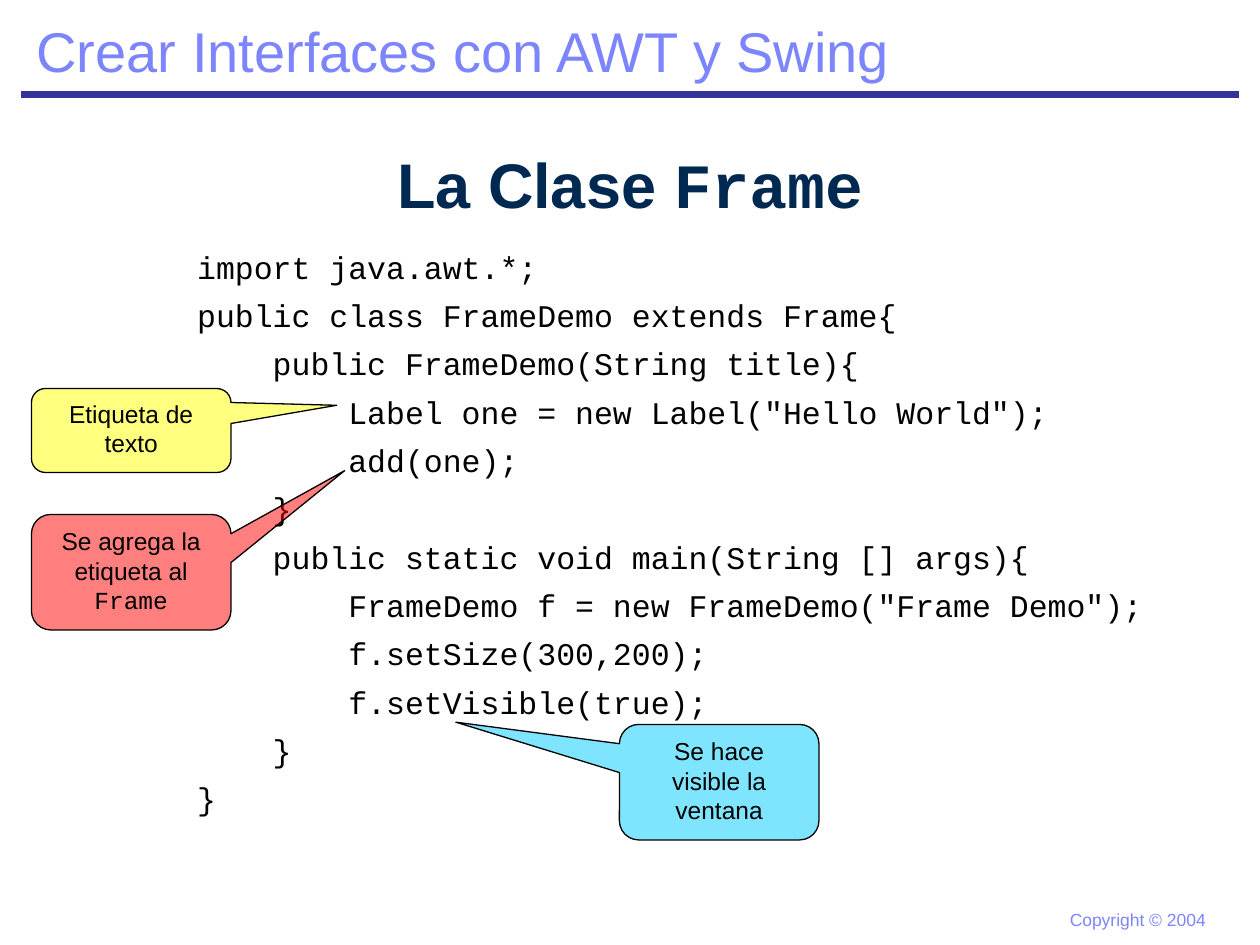
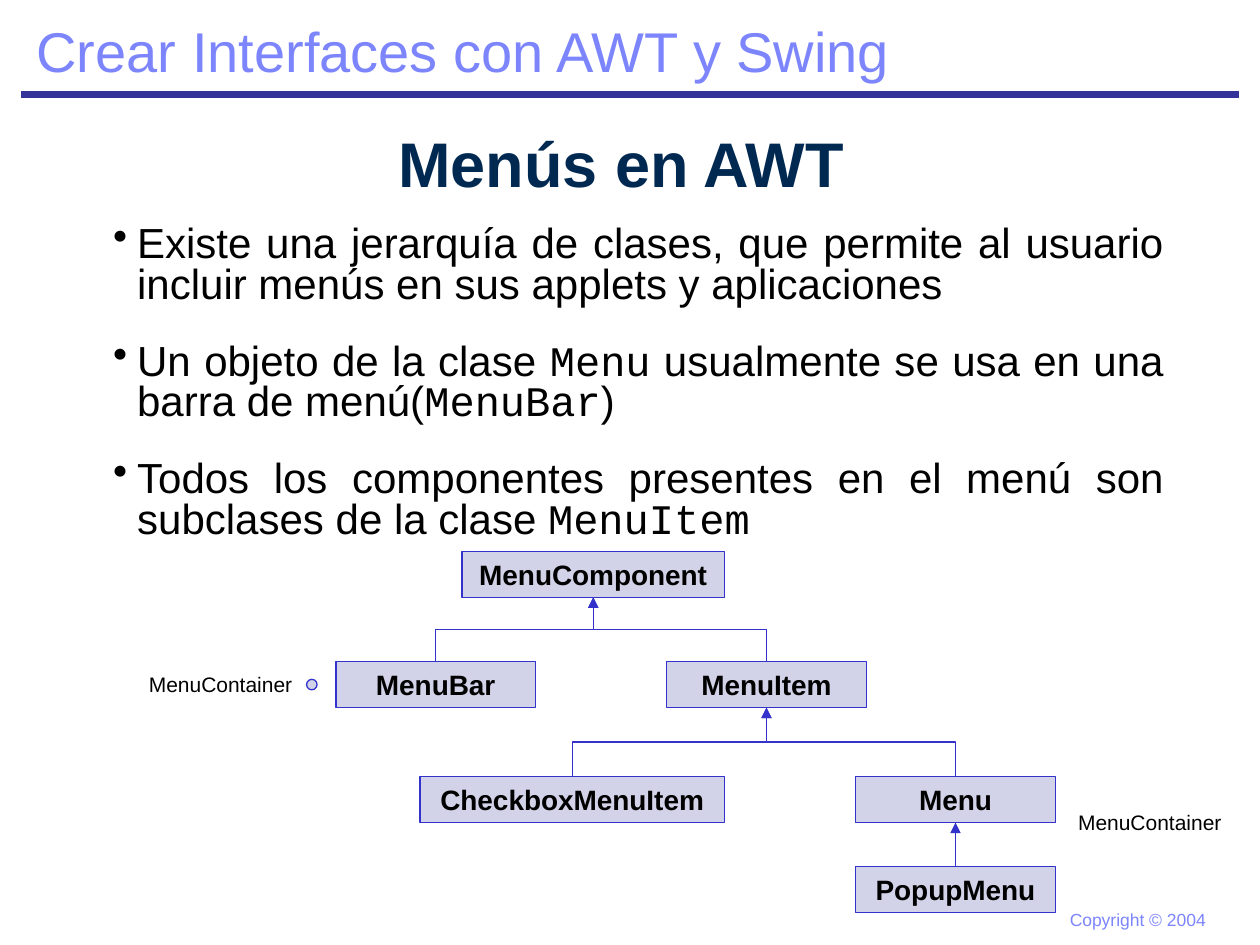
import pptx
import pptx.util
import pptx.dml.color
import pptx.enum.dml
import pptx.enum.shapes
import pptx.enum.text
import pptx.oxml
import pptx.oxml.ns
import lxml.etree as etree

RGBColor = pptx.dml.color.RGBColor
MSO_SHAPE = pptx.enum.shapes.MSO_SHAPE
MSO_CONNECTOR = pptx.enum.shapes.MSO_CONNECTOR
PP_ALIGN = pptx.enum.text.PP_ALIGN
MSO_ANCHOR = pptx.enum.text.MSO_ANCHOR
Pt = pptx.util.Pt
qn = pptx.oxml.ns.qn

BLACK = RGBColor(0, 0, 0)
NAVY = RGBColor(0x00, 0x29, 0x52)
LILAC = RGBColor(0x7C, 0x85, 0xFC)
INDIGO = RGBColor(0x33, 0x33, 0x99)
BLUE = RGBColor(0x33, 0x33, 0xCC)
YELLOW = RGBColor(0xFF, 0xFF, 0x00)
RED = RGBColor(0xFF, 0x00, 0x00)
CYAN = RGBColor(0x00, 0xCC, 0xFF)

BODY_FONT = "Arial"
CODE_FONT = "Courier New"
COLUMNS, ROWS = 120, 90
CELL = pptx.util.Inches(10) // COLUMNS

CODE = """import java.awt.*;
public class FrameDemo extends Frame{
    public FrameDemo(String title){
        Label one = new Label("Hello World");
        add(one);
    }
    public static void main(String [] args){
        FrameDemo f = new FrameDemo("Frame Demo");
        f.setSize(300,200);
        f.setVisible(true);
    }
}"""

# text, column, row, height, fill, pointer x, pointer y
CALLOUTS = [
    ("Etiqueta de texto", 3, 37, 8, YELLOW, 1.03, -0.3),
    ("Se agrega la etiqueta al `Frame`", 3, 49, 11, RED, 1.07, -0.88),
    ("Se hace visible la ventana", 59, 69, 11, CYAN, -1.32, -0.52),
]

BULLETS = [
    "Existe una jerarquía de clases, que permite al usuario incluir menús "
    "en sus applets y aplicaciones",
    "Un objeto de la clase `Menu` usualmente se usa en una barra de "
    "menú(`MenuBar`)",
    "Todos los componentes presentes en el menú son subclases de la clase "
    "`MenuItem`",
]

# class: column, row, width, parent
CLASSES = {
    "MenuComponent": (31, 0, 25, None),
    "MenuBar": (19, 10.5, 19, "MenuComponent"),
    "MenuItem": (50.5, 10.5, 19, "MenuComponent"),
    "CheckboxMenuItem": (27, 21.45, 29, "MenuItem"),
    "Menu": (68.5, 21.45, 19, "MenuItem"),
    "PopupMenu": (68.5, 30, 19, "Menu"),
}
CLASS_HEIGHT = 4.4


def cells(*counts):
    return [pptx.util.Emu(round(n * CELL)) for n in counts]


def write(p, text, size, color, bold=False, font=BODY_FONT):
    """Fill a paragraph; parts between backticks take the code font."""
    for i, part in enumerate(text.split("`")):
        if part:
            r = p.add_run()
            r.text = part
            r.font.name = CODE_FONT if i % 2 else font
            r.font.size = Pt(size)
            r.font.bold = bold
            r.font.color.rgb = color


def add_text(slide, box, text, size, color, wrap=False):
    tf = slide.shapes.add_textbox(*cells(*box)).text_frame
    tf.word_wrap = wrap
    write(tf.paragraphs[0], text, size, color)
    return tf


def hang(p, bullet=None):
    pPr = p._p.get_or_add_pPr()
    pPr.set("marL", str(pptx.util.Inches(0.49)))
    pPr.set("indent", str(pptx.util.Inches(-0.19)))
    if bullet:
        etree.SubElement(pPr, qn("a:buChar")).set("char", bullet)


def add_filled(slide, kind, box, fill, opacity, line):
    sp = slide.shapes.add_shape(kind, *cells(*box))
    sp.shadow.inherit = False
    sp.fill.solid()
    sp.fill.fore_color.rgb = fill
    color = sp.fill._xPr.find(".//" + qn("a:srgbClr"))
    etree.SubElement(color, qn("a:alpha")).set("val", str(opacity * 1000))
    sp.line.color.rgb = line
    sp.line.width = Pt(0.75)
    return sp


def add_line(slide, kind, ends, color, width, arrow=False):
    line = slide.shapes.add_connector(kind, *ends)
    line.line.color.rgb = color
    line.line.width = Pt(width)
    if arrow:
        ln = line.line._get_or_add_ln()
        etree.SubElement(ln, qn("a:tailEnd")).set("type", "triangle")
    etree.SubElement(line._element.spPr, qn("a:effectLst"))
    return line


def join_classes(slide, child, parent):
    """Run an arrow up from the child's top to the parent's bottom."""
    x1, y1 = child.left + child.width // 2, child.top
    x2, y2 = parent.left + parent.width // 2, parent.top + parent.height
    straight = x1 == x2
    kind = MSO_CONNECTOR.STRAIGHT if straight else MSO_CONNECTOR.ELBOW
    line = add_line(slide, kind, (x1, y1, x2, y2), BLUE, 0.75, arrow=True)
    line.begin_connect(child, 0)
    line.end_connect(parent, 2)
    if straight:
        return
    # A quarter turn makes the elbow leave the child vertically.
    rise, run = y1 - y2, abs(x2 - x1)
    line.left, line.top = (x1 + x2 - rise) // 2, (y1 + y2 - run) // 2
    line.width, line.height = rise, run
    xfrm = line._element.spPr.find(qn("a:xfrm"))
    xfrm.set("rot", str(270 * 60000))
    xfrm.set("flipH", "0")
    xfrm.set("flipV", "1" if x2 < x1 else "0")


def start_slide(prs, title, title_row):
    """Add a title-only slide with the shared header, rule and footer."""
    slide = prs.slides.add_slide(prs.slide_layouts[5])
    add_line(slide, MSO_CONNECTOR.STRAIGHT, cells(2, 9, COLUMNS - 2, 9),
             INDIGO, 4.5)
    add_text(slide, (100.7, 86, 15.3, 3.2), "Copyright © 2004", 10, LILAC)
    add_text(slide, (2.3, 1, 84.2, 7.7), "Crear Interfaces con AWT y Swing",
             32, LILAC)
    sp = slide.shapes.title
    sp.left, sp.top, sp.width, sp.height = cells(0, title_row, COLUMNS, 9)
    tf = sp.text_frame
    tf.vertical_anchor = MSO_ANCHOR.MIDDLE
    p = tf.paragraphs[0]
    p.alignment = PP_ALIGN.CENTER
    write(p, title, 36, NAVY, bold=True)
    return slide


def add_code(slide, box):
    tf = slide.shapes.add_textbox(*cells(*box)).text_frame
    tf.word_wrap = True
    for i, line in enumerate(CODE.split("\n")):
        p = tf.add_paragraph() if i else tf.paragraphs[0]
        hang(p)
        p.space_after = Pt(6)
        write(p, line, 18, BLACK, font=CODE_FONT)


def add_callout(slide, box, text, fill, pointer):
    sp = add_filled(slide, MSO_SHAPE.ROUNDED_RECTANGULAR_CALLOUT, box,
                    fill, 50, BLACK)
    sp.adjustments[0], sp.adjustments[1] = pointer
    sp.adjustments[2] = 0.167
    tf = sp.text_frame
    tf.word_wrap = True
    tf.vertical_anchor = MSO_ANCHOR.TOP
    p = tf.paragraphs[0]
    p.alignment = PP_ALIGN.CENTER
    write(p, text, 14, BLACK)


def add_bullets(slide, box):
    tf = slide.shapes.add_textbox(*cells(*box)).text_frame
    tf.word_wrap = True
    for i, text in enumerate(BULLETS):
        p = tf.add_paragraph() if i else tf.paragraphs[0]
        hang(p, "•")
        p.alignment = PP_ALIGN.JUSTIFY
        p.line_spacing = 0.8
        if i:
            p.space_before = Pt(21)
        write(p, text, 24, BLACK)


def add_class_tree(slide, left, top):
    nodes = {}
    for name, (column, row, width, parent) in CLASSES.items():
        box = (left + column, top + row, width, CLASS_HEIGHT)
        sp = add_filled(slide, MSO_SHAPE.RECTANGLE, box, INDIGO, 22, BLUE)
        tf = sp.text_frame
        tf.word_wrap = True
        tf.vertical_anchor = MSO_ANCHOR.MIDDLE
        p = tf.paragraphs[0]
        p.alignment = PP_ALIGN.CENTER
        write(p, name, 16, BLACK, bold=True)
        nodes[name] = sp
        if parent:
            join_classes(slide, sp, nodes[parent])
    add_filled(slide, MSO_SHAPE.FLOWCHART_CONNECTOR,
               (left + 16.2, top + 12.2, 1, 1), INDIGO, 22, BLUE)
    for column, row in ((0, 10.9), (88.5, 24)):
        add_text(slide, (left + column, top + row, 16.1, 3.6),
                 "MenuContainer", 12, BLACK)


def build_frame_slide(prs):
    slide = start_slide(prs, "La Clase `Frame`", 13)
    add_code(slide, (14, 23, 102, 58))
    for text, column, row, height, fill, *pointer in CALLOUTS:
        add_callout(slide, (column, row, 19, height), text, fill, pointer)


def build_menu_slide(prs):
    slide = start_slide(prs, "Menús en AWT ", 11)
    add_bullets(slide, (6, 21, 106, 27))
    add_class_tree(slide, 13, 52.5)


def main():
    prs = pptx.Presentation()
    prs.slide_width, prs.slide_height = cells(COLUMNS, ROWS)
    build_frame_slide(prs)
    build_menu_slide(prs)
    prs.save("out.pptx")


if __name__ == "__main__":
    main()
